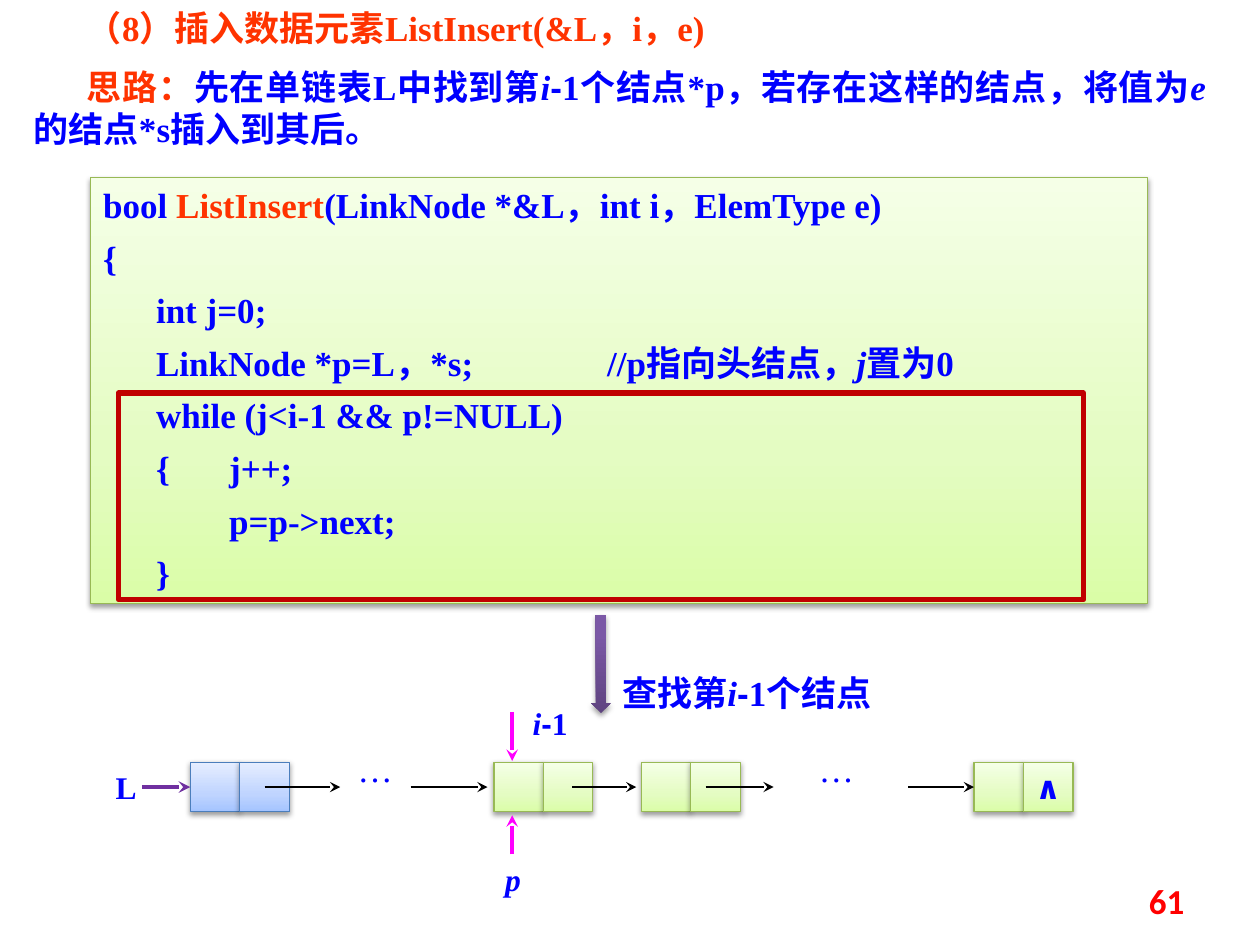
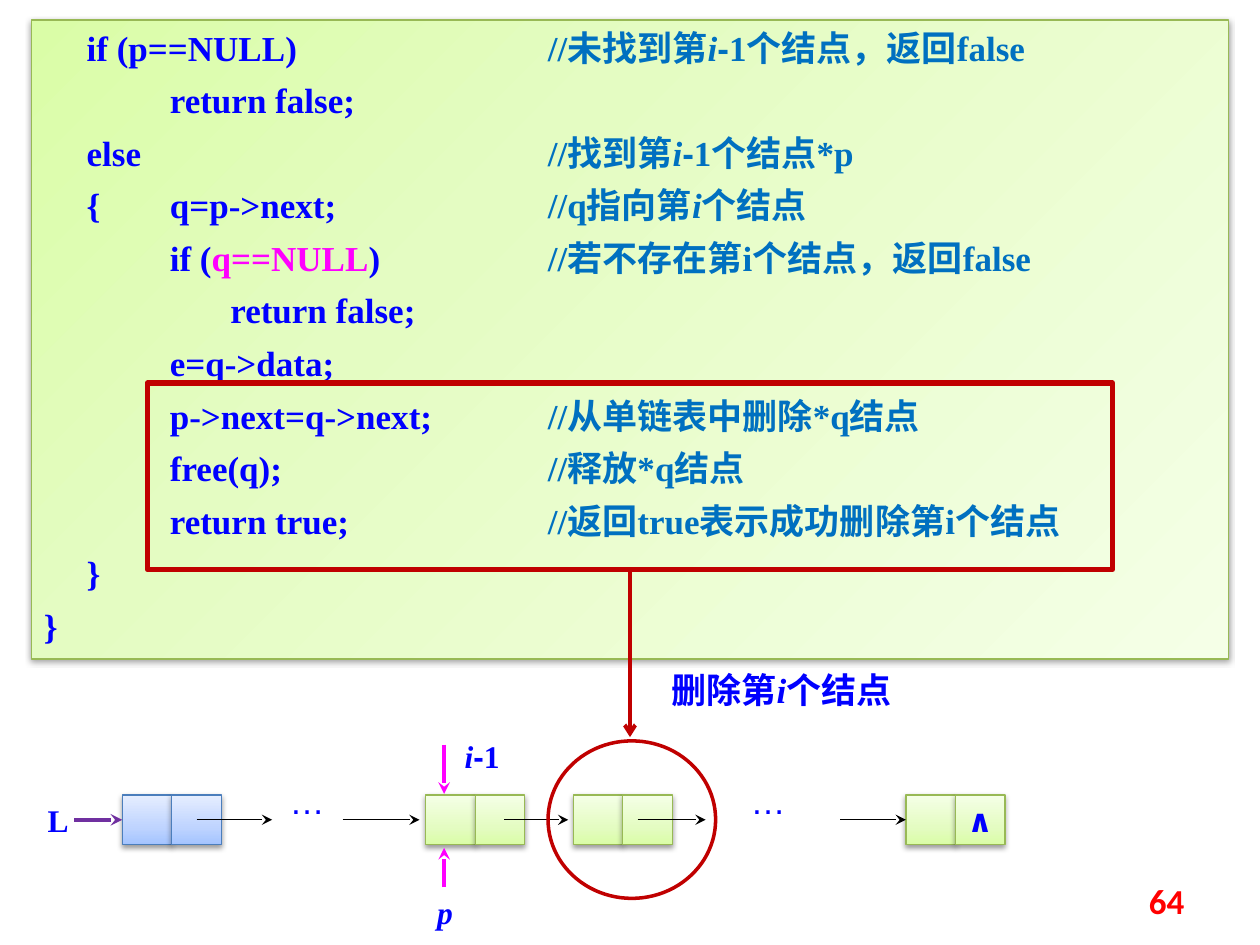
from dataclasses import dataclass

from lxml.etree import SubElement
from pptx import Presentation
from pptx.dml.color import RGBColor
from pptx.enum.shapes import MSO_CONNECTOR as Connector, MSO_SHAPE as Preset
from pptx.enum.text import MSO_ANCHOR as Anchor, MSO_AUTO_SIZE as AutoSize, PP_ALIGN as Align
from pptx.oxml import parse_xml
from pptx.oxml.ns import nsdecls, qn
from pptx.util import Inches, Pt


@dataclass(frozen=True)
class Theme:
    font: str = "Times New Roman"
    sans: str = "Arial"
    number_font: str = "Calibri"
    symbol_font: str = "DejaVu Sans"
    size: int = 20
    label_size: int = 18
    line_pitch: int = 24
    ink: str = "0000FF"
    heading: str = "FF3300"
    comment: str = "0070C0"
    pointer: str = "FF00FF"
    head_pointer: str = "7030A0"
    frame: str = "C00000"
    wire: str = "000000"
    number: str = "FF0000"
    green: tuple = ((0, "DAFDA7"), (35, "E4FCC2"), (100, "F5FFE7"))
    green_line: str = "98B955"
    blue: tuple = ((0, "A4C4FF"), (35, "BFD4FF"), (100, "E6EEFF"))
    blue_line: str = "4B7EBC"
    purple: tuple = ((0, "5F4480"), (80, "7B58A6"), (100, "7C57A8"))


THEME = Theme()
COLUMNS, ROWS = 100, 75
UNIT = Inches(10) / COLUMNS
CELL = 3.93
INDEX = [("i", {"italic": True}), ("-", {"font": THEME.sans}), "1"]
ITALIC = {"italic": True}


def grid(*lengths):
    return [round(length * UNIT) for length in lengths]


def write(frame, lines, size=THEME.size, font=THEME.font, color=THEME.ink, bold=True, italic=False,
          align=Align.LEFT, anchor=Anchor.TOP, wrap=True, before=0, pitch=None, indent=0, tabs=()):
    frame.word_wrap = wrap
    frame.auto_size = AutoSize.NONE
    frame.vertical_anchor = anchor
    for number, line in enumerate(lines):
        paragraph = frame.add_paragraph() if number else frame.paragraphs[0]
        paragraph.alignment = align
        paragraph.space_before = Pt(before if number else 0)
        if pitch:
            paragraph.line_spacing = Pt(pitch)
        properties = paragraph._p.get_or_add_pPr()
        if indent:
            properties.set("marL", "0")
            properties.set("indent", str(grid(indent)[0]))
        if tabs:
            stops = SubElement(properties, qn("a:tabLst"))
            for stop in grid(*tabs):
                SubElement(stops, qn("a:tab"), pos=str(stop), algn="l")
        for part in line:
            text, change = (part, {}) if isinstance(part, str) else part
            run = paragraph.add_run()
            run.text = text
            run.font.name = change.get("font", font)
            run.font.size = Pt(size)
            run.font.bold = bold
            run.font.italic = change.get("italic", italic)
            run.font.color.rgb = RGBColor.from_string(change.get("color", color))


def add_text(slide, box, lines, **format):
    shape = slide.shapes.add_textbox(*grid(*box))
    write(shape.text_frame, lines, **format)


def add_gradient_shape(slide, preset, box, stops, line=None, angle=270):
    shape = slide.shapes.add_shape(preset, *grid(*box))
    shape.shadow.inherit = False
    properties = shape._element.spPr
    stop_list = "".join(
        f'<a:gs pos="{position * 1000}"><a:srgbClr val="{color}"/></a:gs>' for position, color in stops)
    fill = parse_xml(f'<a:gradFill {nsdecls("a")} rotWithShape="1"><a:gsLst>{stop_list}</a:gsLst>'
                     f'<a:lin ang="{angle * 60000}" scaled="0"/></a:gradFill>')
    properties.find(qn("a:prstGeom")).addnext(fill)
    if line:
        shape.line.color.rgb = RGBColor.from_string(line)
        shape.line.width = Pt(0.75)
    else:
        shape.line.fill.background()
    shadow = SubElement(properties.find(qn("a:effectLst")), qn("a:outerShdw"), blurRad=str(Pt(3.1)),
                        dist=str(Pt(1.6)), dir="5400000", rotWithShape="0")
    SubElement(SubElement(shadow, qn("a:srgbClr"), val="000000"), qn("a:alpha"), val="38000")
    return shape


def add_outline(slide, preset, box, width):
    shape = slide.shapes.add_shape(preset, *grid(*box))
    shape.shadow.inherit = False
    shape.fill.background()
    shape.line.color.rgb = RGBColor.from_string(THEME.frame)
    shape.line.width = Pt(width)
    return shape


def add_arrow(slide, start, end, color=THEME.wire, width=0.75, head="stealth", source=None, target=None):
    arrow = slide.shapes.add_connector(Connector.STRAIGHT, *grid(*start, *end))
    arrow.line.color.rgb = RGBColor.from_string(color)
    arrow.line.width = Pt(width)
    SubElement(arrow.line._get_or_add_ln(), qn("a:tailEnd"), type=head)
    SubElement(arrow._element.spPr, qn("a:effectLst"))
    if source:
        arrow.begin_connect(*source)
    if target:
        arrow.end_connect(*target)


def add_code(slide, box, lines, tabs, angle=270):
    panel = add_gradient_shape(slide, Preset.RECTANGLE, box, THEME.green, THEME.green_line, angle)
    write(panel.text_frame, lines, before=6, pitch=THEME.line_pitch, tabs=tabs)


def add_node(slide, left, top, stops=THEME.green, line=THEME.green_line):
    return [add_gradient_shape(slide, Preset.RECTANGLE, (left + CELL * index, top, CELL, CELL), stops, line)
            for index in range(2)]


def add_linked_list(slide, left, top, dots_font):
    middle = top + CELL / 2
    head = add_node(slide, left + 6.9, top, THEME.blue, THEME.blue_line)
    nodes = [add_node(slide, left + offset, top) for offset in (31, 42.7, 69.1)]
    last = nodes[-1]
    write(last[1].text_frame, [["∧"]], size=THEME.label_size, font=THEME.symbol_font,
          align=Align.CENTER, anchor=Anchor.MIDDLE, wrap=False)

    add_arrow(slide, (left + 3.1, middle), (left + 6.9, middle), THEME.head_pointer, 2.25, target=(head[0], 1))
    wires = [(12.8, 18.8), (24.4, 30.5), (37.2, 42.3), (47.8, 53.2), (63.9, 69.1)]
    for start, end in wires:
        target = (last[0], 1) if (start, end) == wires[-1] else None
        add_arrow(slide, (left + start, middle), (left + end, middle), target=target)
    for start, end in ((-4, -0.1), (7.3, 4.2)):
        add_arrow(slide, (left + 32.45, top + start), (left + 32.45, top + end), THEME.pointer, 2.25)

    for offset in (19.2, 55.8):
        add_text(slide, (left + offset, top - 1.7, 7.9, 5), [["…"]], font=dots_font, bold=False)
    add_text(slide, (left, top, 2.9, 4), [["L"]], size=THEME.label_size)
    add_text(slide, (left + 33.1, top - 5.1, 6.4, 4), [INDEX], size=THEME.label_size)
    add_text(slide, (left + 30.9, top + 7.3, 3.9, 4), [["p"]], size=THEME.label_size, italic=True)


def add_number(slide, number):
    add_text(slide, (71.7, 69.5, 23.3, 4), [[str(number)]], font=THEME.number_font, color=THEME.number,
             align=Align.RIGHT, anchor=Anchor.MIDDLE)


def build_search_slide(presentation):
    slide = presentation.slides.add_slide(presentation.slide_layouts[5])
    title = slide.shapes.title
    title.left, title.top, title.width, title.height = grid(1.7, 0, 95, 4.4)
    write(title.text_frame, [["（8）插入数据元素ListInsert(&L，i，e)"]], color=THEME.heading,
          pitch=THEME.line_pitch, indent=4.2)
    add_text(slide, (1.7, 4.7, 95, 10.4), [[
        ("思路：", {"color": THEME.heading}), "先在单链表L中找到第", *INDEX,
        "个结点*p，若存在这样的结点，将值为", ("e", ITALIC), "的结点*s插入到其后。"]],
        align=Align.JUSTIFY, pitch=THEME.line_pitch, indent=4.2)
    add_code(slide, (7.2, 14.1, 83.9, 33.8), [
        ["bool ", ("ListInsert", {"color": THEME.heading}), "(LinkNode *&L，int i，ElemType e)"],
        ["{"],
        ["\tint j=0;"],
        ["\tLinkNode *p=L，*s;\t//p指向头结点，", ("j", ITALIC), "置为0"],
        ["\twhile (j<i-1 && p!=NULL)"],
        ["\t{\tj++;"],
        ["\t\tp=p->next;"],
        ["\t}"],
    ], tabs=(4.2, 10, 40))
    add_outline(slide, Preset.RECTANGLE, (9.4, 31.2, 76.6, 16.4), 3)
    add_gradient_shape(slide, Preset.DOWN_ARROW, (46.9, 48.8, 1.6, 7.8), THEME.purple)
    add_text(slide, (48.4, 52.8, 28.1, 4.4), [["查找第", *INDEX, "个结点"]])
    add_linked_list(slide, 8.2, 60.5, THEME.font)
    add_number(slide, 61)


def build_delete_slide(presentation):
    def note(*parts):
        return [(text, {"color": THEME.comment, **change}) for text, change in
                ((part, {}) if isinstance(part, str) else part for part in parts)]

    slide = presentation.slides.add_slide(presentation.slide_layouts[6])
    add_code(slide, (2.5, 1.6, 95, 50.7), [
        ["\tif (p==NULL)\t", *note("//未找到第", *INDEX, "个结点，返回false")],
        ["\t\treturn false;"],
        ["\telse\t\t\t", *note("//找到第", *INDEX, "个结点*p")],
        ["\t{\tq=p->next;\t", *note("//q指向第", ("i", ITALIC), "个结点")],
        ["\t\tif (", ("q==NULL", {"color": THEME.pointer}), ")\t", *note("//若不存在第i个结点，返回false")],
        ["\t\t\treturn false;"],
        ["\t\te=q->data;"],
        ["\t\tp->next=q->next;\t", *note("//从单链表中删除*q结点")],
        ["\t\tfree(q);\t", *note("//释放*q结点")],
        ["\t\treturn true;\t", *note("//返回true表示成功删除第i个结点")],
        ["\t}"],
        ["}"],
    ], tabs=(3.4, 10, 14.8, 40), angle=45)
    frame = add_outline(slide, Preset.RECTANGLE, (11.7, 30.4, 76.6, 14.8), 3)
    add_arrow(slide, (50, 45.2), (50, 58.5), THEME.frame, 2.25, "arrow", source=(frame, 2))
    add_text(slide, (52.3, 52.6, 28.1, 4.4), [["删除第", ("i", ITALIC), "个结点"]])
    add_linked_list(slide, 2.8, 63.1, THEME.sans)
    add_outline(slide, Preset.OVAL, (43.5, 58.8, 13.3, 12.5), 2)
    add_number(slide, 64)


def main():
    presentation = Presentation()
    presentation.slide_width, presentation.slide_height = grid(COLUMNS, ROWS)
    build_search_slide(presentation)
    build_delete_slide(presentation)
    presentation.save("out.pptx")


if __name__ == "__main__":
    main()
